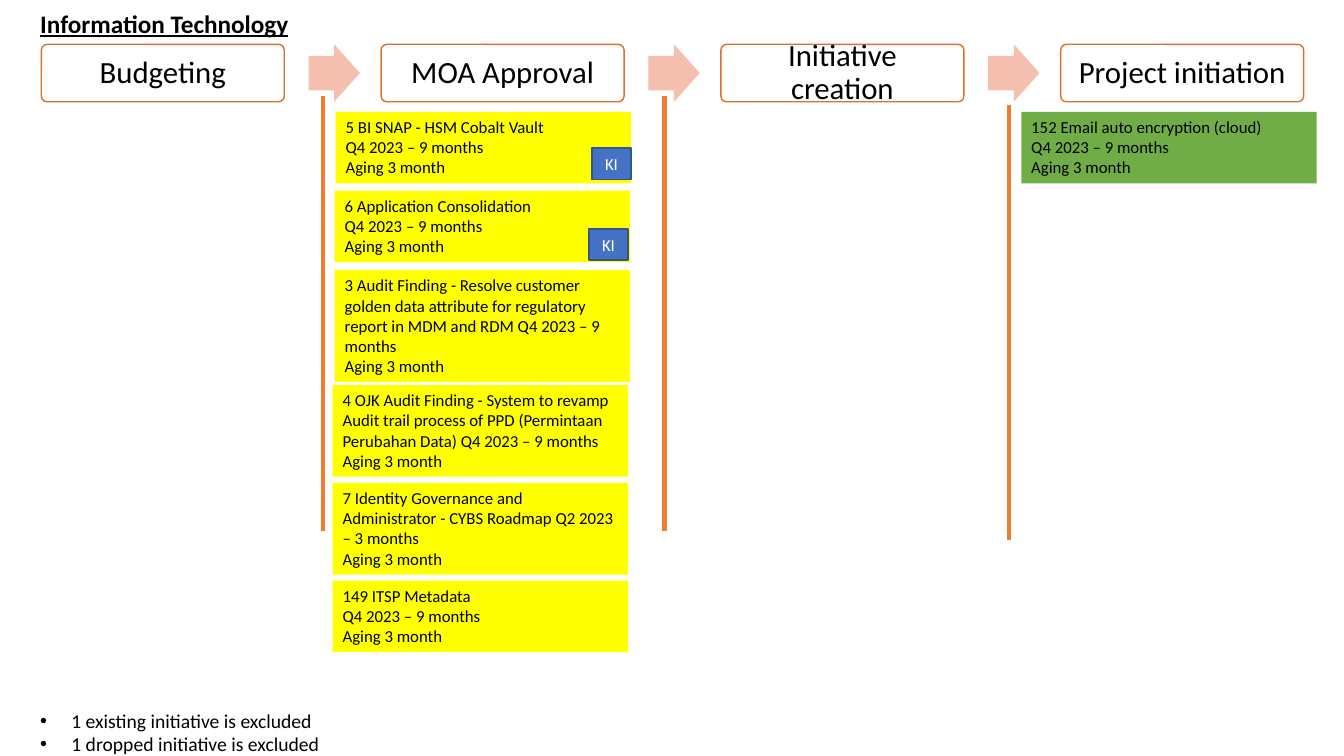
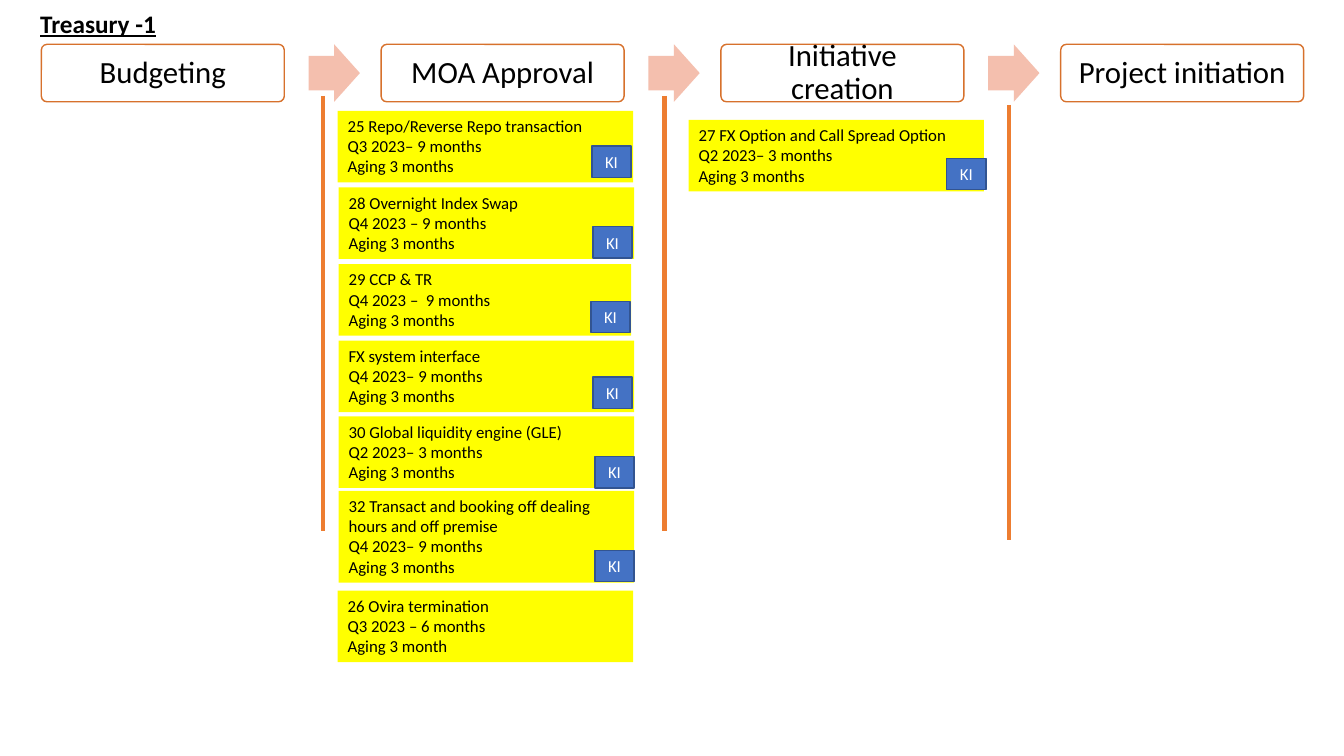
from dataclasses import dataclass
from typing import Optional

from pptx import Presentation
from pptx.dml.color import RGBColor
from pptx.enum.shapes import MSO_CONNECTOR as Connector, MSO_SHAPE as Preset
from pptx.enum.text import MSO_ANCHOR as Anchor, MSO_AUTO_SIZE as AutoSize, PP_ALIGN as Align
from pptx.oxml.ns import qn
from pptx.util import Inches, Pt
from lxml import etree


@dataclass(frozen=True)
class Theme:
    font: str = "Calibri"
    ink: str = "000000"
    paper: str = "FFFFFF"
    stage_line: str = "D7712C"
    arrow: str = "F4BFAE"
    divider: str = "ED7D31"
    pending: str = "FFFF00"
    started: str = "70AD47"
    badge: str = "4472C4"
    badge_line: str = "325491"
    title_size: int = 18
    stage_size: int = 22
    note_size: int = 14
    card_size: int = 12


THEME = Theme()


@dataclass(frozen=True)
class Initiative:
    """One card; rows counts wrapped lines, badge is the KI offset in the card."""
    left: float
    top: float
    text: str
    badge: Optional[tuple] = None
    rows: int = 3
    width: float = 2.93
    fill: str = THEME.pending


STAGES = ["Budgeting", "MOA Approval", "Initiative creation", "Project initiation"]
STAGE_PITCH = 3.37
DIVIDERS = [(3.2, 0.95), (6.59, 0.95), (10.01, 1.04)]
DIVIDER_HEIGHT = 4.32

IT_INITIATIVES = [
    Initiative(3.32, 2.68, "3 Audit Finding - Resolve customer golden data attribute for "
               "regulatory report in MDM and RDM Q4 2023 – 9 months\nAging 3 month", rows=5),
    Initiative(3.3, 3.82, "4 OJK Audit Finding - System to revamp Audit trail process of PPD "
               "(Permintaan Perubahan Data) Q4 2023 – 9 months\nAging 3 month", rows=4),
    Initiative(3.3, 4.79, "7 Identity Governance and Administrator - CYBS Roadmap "
               "Q2 2023 – 3 months\nAging 3 month", rows=4),
    Initiative(3.3, 5.76, "149 ITSP Metadata\nQ4 2023 – 9 months\nAging 3 month"),
    Initiative(10.13, 1.11, "152 Email auto encryption (cloud)\nQ4 2023 – 9 months\n"
               "Aging 3 month", fill=THEME.started),
    Initiative(3.33, 1.11, "5 BI SNAP - HSM Cobalt Vault\nQ4 2023 – 9 months\nAging 3 month",
               badge=(2.54, 0.36)),
    Initiative(3.32, 1.89, "6 Application Consolidation\nQ4 2023 – 9 months\nAging 3 month",
               badge=(2.52, 0.38)),
]
IT_NOTES = "1 existing initiative is excluded\n1 dropped initiative is excluded"

TREASURY_INITIATIVES = [
    Initiative(3.35, 1.1, "25 Repo/Reverse Repo transaction\nQ3 2023– 9 months\n"
               "Aging 3 months", badge=(2.52, 0.35)),
    Initiative(3.36, 1.86, "28 Overnight Index Swap\nQ4 2023 – 9 months\nAging 3 months",
               badge=(2.52, 0.39)),
    Initiative(3.36, 2.62, "29 CCP & TR\nQ4 2023 –  9 months\nAging 3 months",
               badge=(2.5, 0.37), width=2.9),
    Initiative(3.36, 3.38, "FX system interface\nQ4 2023– 9 months\nAging 3 months",
               badge=(2.52, 0.36)),
    Initiative(3.36, 4.13, "30 Global liquidity engine (GLE)\nQ2 2023– 3 months\n"
               "Aging 3 months", badge=(2.54, 0.4)),
    Initiative(3.36, 4.87, "32 Transact and booking off dealing hours and off premise\n"
               "Q4 2023– 9 months\nAging 3 months", badge=(2.54, 0.59), rows=4),
    Initiative(3.35, 5.86, "26 Ovira termination\nQ3 2023 – 6 months\nAging 3 month"),
    Initiative(6.83, 1.19, "27 FX Option and Call Spread Option\nQ2 2023– 3 months\n"
               "Aging 3 months", badge=(2.56, 0.38)),
]


def rgb(code):
    return RGBColor.from_string(code)


def write(shape, text, *, size, color=THEME.ink, bold=False, underline=False,
          align=Align.LEFT, anchor=Anchor.TOP, wrap=True, inset=None,
          spacing=None, bullet=None, grow=False):
    """Fill a shape with text, one paragraph per line."""
    frame = shape.text_frame
    frame.word_wrap = wrap
    frame.vertical_anchor = anchor
    if grow:
        frame.auto_size = AutoSize.SHAPE_TO_FIT_TEXT
    if inset is not None:
        frame.margin_left = frame.margin_right = Inches(inset)
        frame.margin_top = frame.margin_bottom = Inches(inset)
    frame.text = text
    for paragraph in frame.paragraphs:
        if bullet:
            props = paragraph._p.get_or_add_pPr()
            props.set("marL", str(Inches(0.31)))
            props.set("indent", str(-Inches(0.31)))
            etree.SubElement(props, qn("a:buFont")).set("typeface", "Arial")
            etree.SubElement(props, qn("a:buChar")).set("char", bullet)
        paragraph.alignment = align
        if spacing:
            paragraph.line_spacing = spacing
        for run in paragraph.runs:
            font = run.font
            font.name, font.size = THEME.font, Pt(size)
            font.bold, font.underline = bold, underline
            font.color.rgb = rgb(color)


def add_block(slide, preset, left, top, width, height, fill, line=None):
    block = slide.shapes.add_shape(preset, Inches(left), Inches(top),
                                   Inches(width), Inches(height))
    block.shadow.inherit = False
    block.fill.solid()
    block.fill.fore_color.rgb = rgb(fill)
    if line:
        block.line.color.rgb = rgb(line)
        block.line.width = Pt(1)
    else:
        block.line.fill.background()
    return block


def add_label(slide, left, top, width, height, text, **style):
    label = slide.shapes.add_textbox(Inches(left), Inches(top), Inches(width), Inches(height))
    write(label, text, wrap=False, grow=True, **style)


def add_stage_band(slide, left, top, height):
    """Place the stage boxes, with an arrow in each gap."""
    for index, stage in enumerate(STAGES):
        x = left + index * STAGE_PITCH
        if index:
            arrow = add_block(slide, Preset.RIGHT_ARROW, x - 0.72, top, 0.51, height, THEME.arrow)
            arrow.adjustments[0] = 0.6
            arrow.adjustments[1] = 0.5
        box = add_block(slide, Preset.ROUNDED_RECTANGLE, x, top, 2.41, height,
                        THEME.paper, THEME.stage_line)
        box.adjustments[0] = 0.1
        write(box, stage, size=THEME.stage_size, align=Align.CENTER,
              anchor=Anchor.MIDDLE, inset=0.11, spacing=0.9)


def add_dividers(slide):
    for x, top in DIVIDERS:
        divider = slide.shapes.add_connector(Connector.STRAIGHT, Inches(x), Inches(top),
                                             Inches(x), Inches(top + DIVIDER_HEIGHT))
        divider.line.color.rgb = rgb(THEME.divider)
        divider.line.width = Pt(3)
        etree.SubElement(divider._element.spPr, qn("a:effectLst"))


def add_initiative(slide, item):
    card = add_block(slide, Preset.RECTANGLE, item.left, item.top, item.width,
                     0.11 + 0.2 * item.rows, item.fill)
    write(card, item.text, size=THEME.card_size, grow=True)
    if item.badge:
        dx, dy = item.badge
        badge = add_block(slide, Preset.RECTANGLE, item.left + dx, item.top + dy, 0.39, 0.31,
                          THEME.badge, THEME.badge_line)
        write(badge, "KI", size=THEME.card_size, color=THEME.paper,
              align=Align.CENTER, anchor=Anchor.MIDDLE)


def add_pipeline_slide(deck, title, title_width, initiatives, notes=None):
    slide = deck.slides.add_slide(deck.slide_layouts[6])
    add_stage_band(slide, 0.41, 0.44, 0.57)
    add_dividers(slide)
    add_label(slide, 0.3, 0.03, title_width, 0.4, title,
              size=THEME.title_size, bold=True, underline=True)
    for item in initiatives:
        add_initiative(slide, item)
    if notes:
        add_label(slide, 0.3, 6.98, 3.03, 0.57, notes, size=THEME.note_size, bullet="•")


def main():
    deck = Presentation()
    deck.slide_width, deck.slide_height = Inches(13.33), Inches(7.5)
    add_pipeline_slide(deck, "Information Technology", 2.68, IT_INITIATIVES, IT_NOTES)
    add_pipeline_slide(deck, "Treasury -1", 1.36, TREASURY_INITIATIVES)
    deck.save("out.pptx")


if __name__ == "__main__":
    main()
